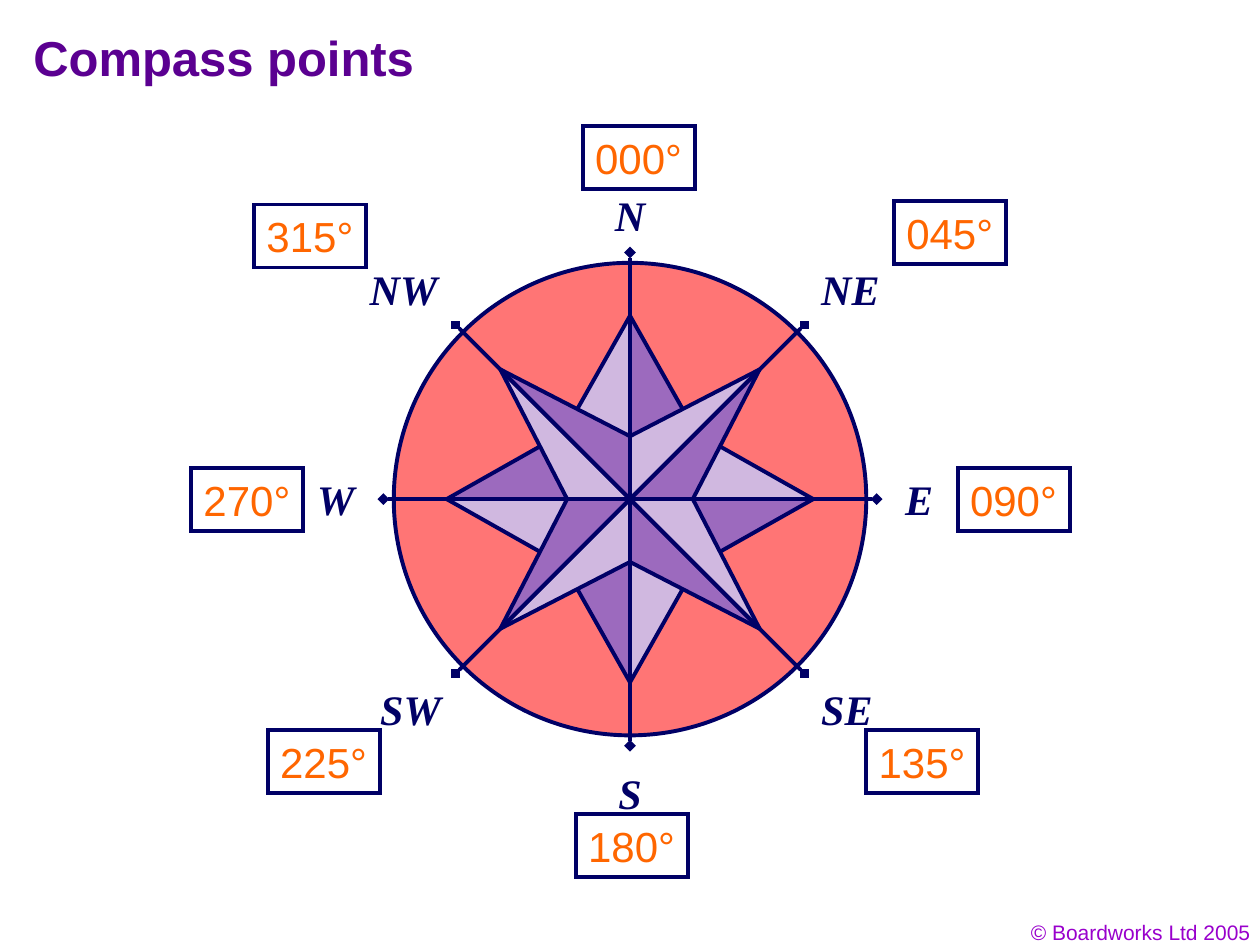
from math import cos, radians, sin

from lxml.etree import SubElement
from pptx import Presentation
from pptx.dml.color import RGBColor
from pptx.enum.shapes import MSO_CONNECTOR as Connector, MSO_SHAPE as Shape
from pptx.enum.text import MSO_AUTO_SIZE as AutoSize, PP_ALIGN as Align
from pptx.oxml.ns import qn
from pptx.util import Pt

COLOURS = {
    "navy": "000066", "label": "010066", "coral": "FF7575", "light": "D0B8E0",
    "dark": "9C6ABE", "orange": "FF6600", "title": "5B0091", "footer": "9900CC",
}
LABELS = [
    ("N", (344.2, 104.8, 32), (333, 72)),
    ("NE", (462.2, 146.9, 48), (510.8, 114.8)),
    ("E", (510.2, 267.1, 31), (547.2, 267.3)),
    ("SE", (462.2, 386.8, 45), (495, 417)),
    ("S", (346.3, 434.9, 28), (329, 465)),
    ("SW", (210.2, 386.8, 51), (153, 417)),
    ("W", (174.2, 267.1, 36), (109.2, 267.3)),
    ("NW", (204.2, 146.9, 56), (145.2, 116.9)),
]


def colour(name):
    """Return the named colour as an RGB value."""
    return RGBColor.from_string(COLOURS[name])


def outline(shape):
    """Give a shape or connector the navy line."""
    shape.line.color.rgb = colour("navy")
    shape.line.width = Pt(2.25)


def write(page, text, box, *, size, ink, font="Arial", bold=False, italic=False,
          align=Align.LEFT, wrap=False, framed=False):
    """Add one line of formatted text in a plain or framed box."""
    left, top, width, height = map(Pt, box)
    if framed:
        shape = page.shapes.add_shape(Shape.RECTANGLE, left, top, width, height)
        shape.shadow.inherit = False
        shape.fill.background()
        outline(shape)
        SubElement(shape.line._get_or_add_ln(), qn("a:miter"), lim="800000")
    else:
        shape = page.shapes.add_textbox(left, top, width, height)
    frame = shape.text_frame
    frame.word_wrap = wrap
    frame.auto_size = AutoSize.NONE if wrap else AutoSize.SHAPE_TO_FIT_TEXT
    para = frame.paragraphs[0]
    para.alignment = align
    span = para.add_run()
    span.text = text
    span.font.name, span.font.size = font, Pt(size)
    span.font.bold, span.font.italic = bold, italic
    span.font.color.rgb = colour(ink)


def polar(centre, bearing, radius):
    """Return the point at a compass bearing and distance from the centre."""
    angle = radians(bearing)
    return centre[0] + radius * sin(angle), centre[1] - radius * cos(angle)


def add_line(group, start, end, diamonds=False):
    """Draw a navy line, with diamond ends if asked."""
    line = group.shapes.add_connector(Connector.STRAIGHT, *map(Pt, (*start, *end)))
    outline(line)
    if diamonds:
        for end_tag in ("a:headEnd", "a:tailEnd"):
            SubElement(line.line._get_or_add_ln(), qn(end_tag), type="diamond")
    SubElement(line._element.spPr, qn("a:effectLst"))


def add_facet(group, points, fill):
    """Draw one filled triangle of a star."""
    corners = [(Pt(x), Pt(y)) for x, y in points]
    builder = group.shapes.build_freeform(*corners[0], scale=1.0)
    builder.add_line_segments(corners[1:], close=True)
    facet = builder.convert_to_shape()
    facet.shadow.inherit = False
    facet.fill.solid()
    facet.fill.fore_color.rgb = colour(fill)
    facet.line.fill.background()


def add_star(page, centre, turn, tip_radius, notch_radius, spoke_radius):
    """Draw a four-pointed star with two-tone points and long spokes."""
    group = page.shapes.add_group_shape()
    bearings = range(turn, turn + 360, 90)
    edges = [
        (polar(centre, bearing, tip_radius), polar(centre, bearing + side, notch_radius), fill)
        for bearing in bearings
        for side, fill in ((-45, "light"), (45, "dark"))
    ]
    for tip, notch, fill in edges:
        add_facet(group, (centre, tip, notch), fill)
    for tip, notch, _ in edges:
        add_line(group, tip, notch)
    for bearing in bearings[:2]:
        for angle, radius, diamonds in ((bearing, tip_radius, False),
                                        (bearing + 45, notch_radius, False),
                                        (bearing, spoke_radius, True)):
            add_line(group, polar(centre, angle, radius),
                     polar(centre, angle + 180, radius), diamonds)


def add_compass(page, left, top, size):
    """Draw the dial and the two crossed stars in a square box."""
    dial = page.shapes.add_shape(Shape.OVAL, *map(Pt, (left, top, size, size)))
    dial.shadow.inherit = False
    dial.fill.solid()
    dial.fill.fore_color.rgb = colour("coral")
    outline(dial)
    centre = left + size / 2, top + size / 2
    for turn, notch in ((0, 0.198), (45, 0.133)):
        add_star(page, centre, turn, size * 0.388, size * notch, size * 0.522)


def add_labels(page):
    """Name each compass point and frame its bearing."""
    for index, (name, (left, top, width), corner) in enumerate(LABELS):
        write(page, name, (left, top, width, 36), size=24, ink="label",
              font="Times New Roman", bold=True, italic=True)
        write(page, f"{index * 45:03}°", (*corner, 64.1, 36), size=24, ink="orange", framed=True)


def main():
    """Build and save the compass slide."""
    deck = Presentation()
    deck.slide_width, deck.slide_height = Pt(720), Pt(540)
    page = deck.slides.add_slide(deck.slide_layouts[6])
    write(page, "© Boardworks Ltd 2005", (553.9, 522, 167.8, 21.6), size=12,
          ink="footer", align=Align.RIGHT, wrap=True)
    write(page, "Compass points", (12, 12, 612, 48), size=28, ink="title",
          bold=True, wrap=True)
    add_compass(page, 225, 150.2, 270)
    add_labels(page)
    deck.save("out.pptx")


if __name__ == "__main__":
    main()
